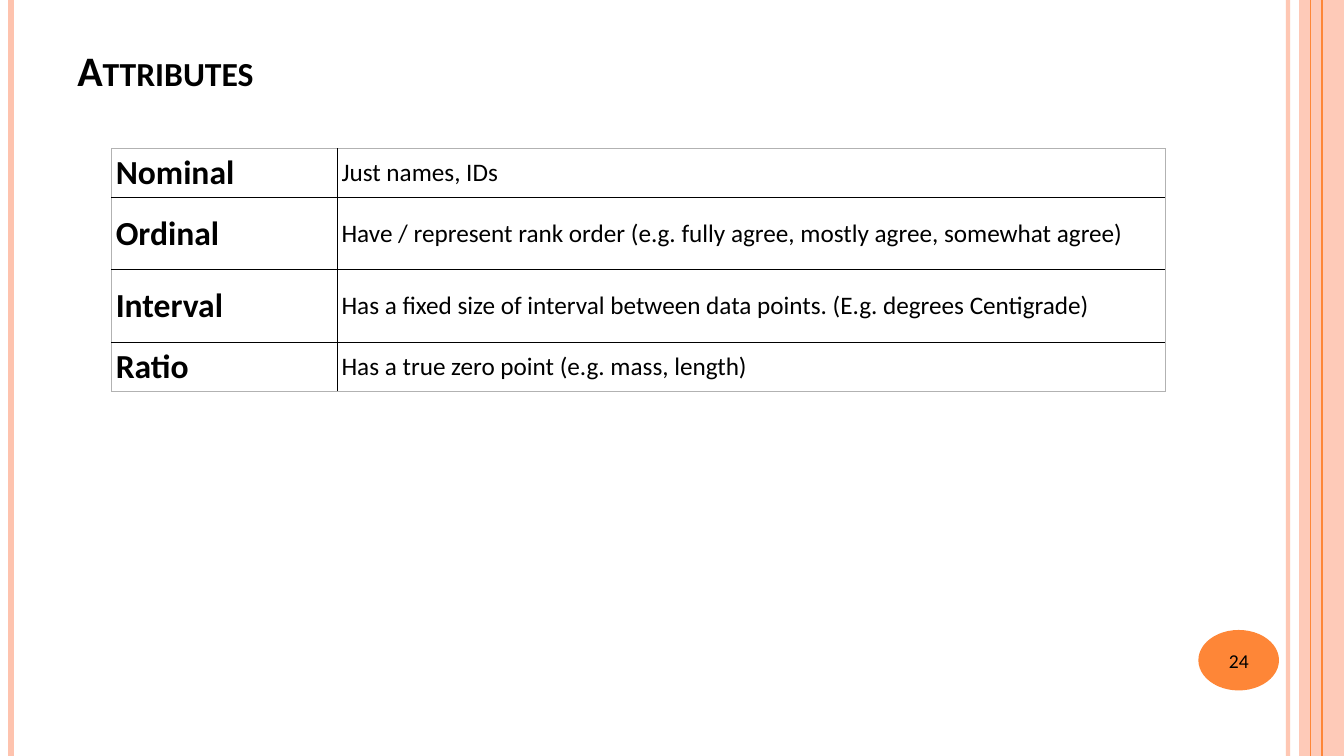
from lxml.etree import SubElement
from pptx import Presentation
from pptx.dml.color import RGBColor
from pptx.enum.shapes import MSO_CONNECTOR, MSO_SHAPE
from pptx.enum.text import MSO_ANCHOR, PP_ALIGN
from pptx.oxml.ns import qn
from pptx.util import Pt

COLORS = {"peach": "FEC3AE", "orange": "FE8637", "black": "000000", "grey": "B2B2B2"}
W, H = 960, 540


def write(tf, text, size, bold=False, align=PP_ALIGN.LEFT, anchor=MSO_ANCHOR.MIDDLE):
    tf.word_wrap = True
    tf.vertical_anchor = anchor
    p = tf.paragraphs[0]
    p.alignment = align
    r = p.add_run()
    r.text = text
    r.font.name = "Calibri"
    r.font.size = Pt(size)
    r.font.bold = bold
    r.font.color.rgb = RGBColor.from_string(COLORS["black"])
    return r


def set_alpha(element, percent):
    for clr in element.iter(qn("a:srgbClr")):
        SubElement(clr, qn("a:alpha"), val=str(percent * 1000))


prs = Presentation()
prs.slide_width, prs.slide_height = Pt(W), Pt(H)
s = prs.slides.add_slide(prs.slide_layouts[5])

band = s.shapes.add_shape(MSO_SHAPE.RECTANGLE, Pt(928), Pt(0), Pt(32), Pt(H))
badge = s.shapes.add_shape(MSO_SHAPE.OVAL, Pt(856), Pt(450), Pt(57.6), Pt(43.2))
for sp, color in ((band, "peach"), (badge, "orange")):
    sp.shadow.inherit = False
    sp.fill.solid()
    sp.fill.fore_color.rgb = RGBColor.from_string(COLORS[color])
    sp.line.fill.background()
set_alpha(band._element.spPr, 87)

for x, color, width, alpha in (
    (920, "peach", 3, 93),
    (8, "peach", 4.5, 100),
    (944, "orange", 1.5, 100),
    (936, "orange", 0.75, 100),
):
    stripe = s.shapes.add_connector(MSO_CONNECTOR.STRAIGHT, Pt(x), Pt(0), Pt(x), Pt(H))
    stripe.line.color.rgb = RGBColor.from_string(COLORS[color])
    stripe.line.width = Pt(width)
    if alpha < 100:
        set_alpha(stripe._element.spPr, alpha)
    SubElement(stripe._element.spPr, qn("a:effectLst"))

title = s.shapes.title
title.left, title.top, title.width, title.height = Pt(48), Pt(21.6), Pt(784), Pt(49.7)
r = write(title.text_frame, "Attributes", 30, bold=True, anchor=MSO_ANCHOR.BOTTOM)
r.font._element.set("cap", "small")

number = s.shapes.add_textbox(Pt(853), Pt(451.5), Pt(64), Pt(41))
write(number.text_frame, "24", 14, align=PP_ALIGN.CENTER)

ROWS = [
    ("Nominal", "Just names, IDs", 35),
    ("Ordinal", "Have / represent rank order (e.g. fully agree, mostly agree, somewhat agree)", 51.8),
    ("Interval", "Has a fixed size of interval between data points. (E.g. degrees Centigrade)", 51.8),
    ("Ratio", "Has a true zero point (e.g. mass, length)", 35),
]
frame = s.shapes.add_table(len(ROWS), 2, Pt(79.7), Pt(106), Pt(752.4), Pt(173.6))
table = frame.table
table.first_row = table.horz_banding = False
table.columns[0].width, table.columns[1].width = Pt(161.3), Pt(591.1)

for i, (name, meaning, height) in enumerate(ROWS):
    table.rows[i].height = Pt(height)
    for j, text in enumerate((name, meaning)):
        cell = table.cell(i, j)
        cell.margin_left = cell.margin_right = cell.margin_top = cell.margin_bottom = Pt(3)
        cell.vertical_anchor = MSO_ANCHOR.MIDDLE
        write(cell.text_frame, text, 18 if j else 24, bold=j == 0)
        tcPr = cell._tc.get_or_add_tcPr()
        outer = {"lnL": j == 0, "lnR": j == 1, "lnT": i == 0, "lnB": i == len(ROWS) - 1}
        for side, is_outer in outer.items():
            ln = SubElement(tcPr, qn(f"a:{side}"), w=str(Pt(0.5 if is_outer else 1)))
            fill = SubElement(ln, qn("a:solidFill"))
            SubElement(fill, qn("a:srgbClr"), val=COLORS["grey" if is_outer else "black"])
        cell.fill.background()

prs.save("out.pptx")
